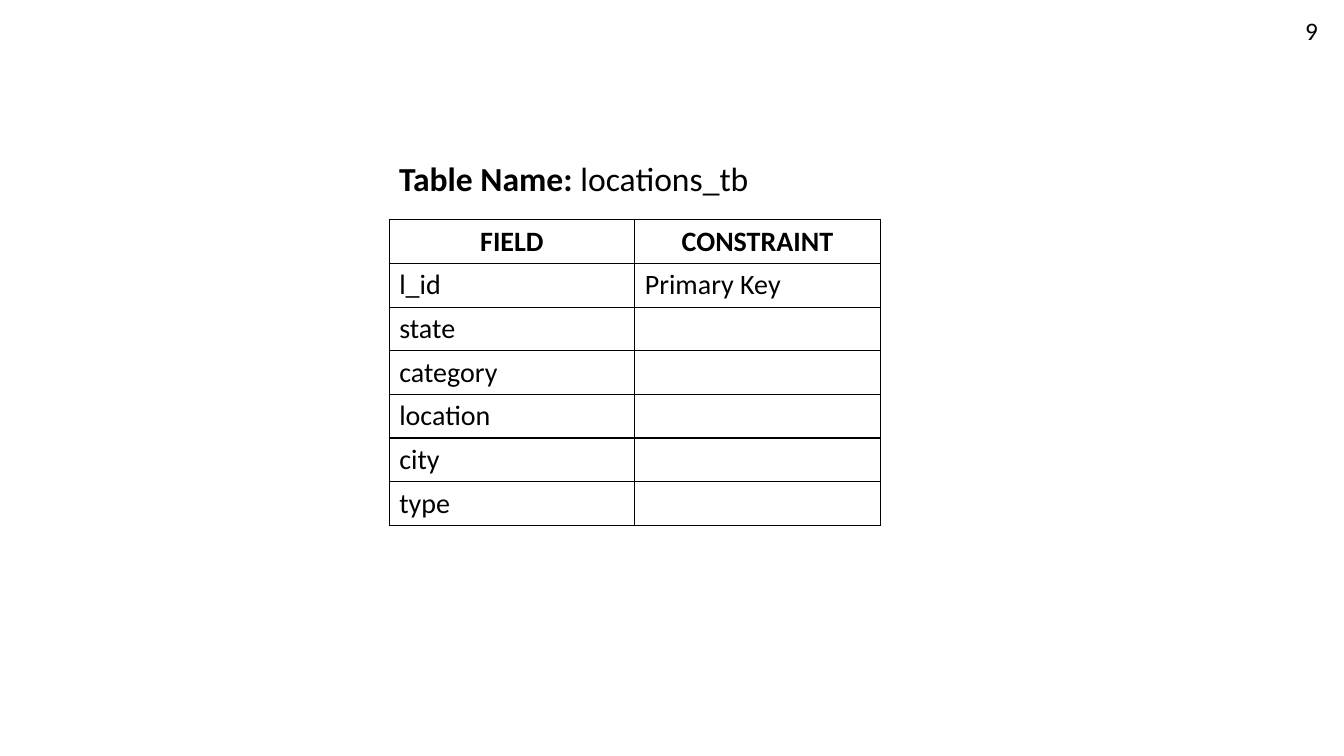
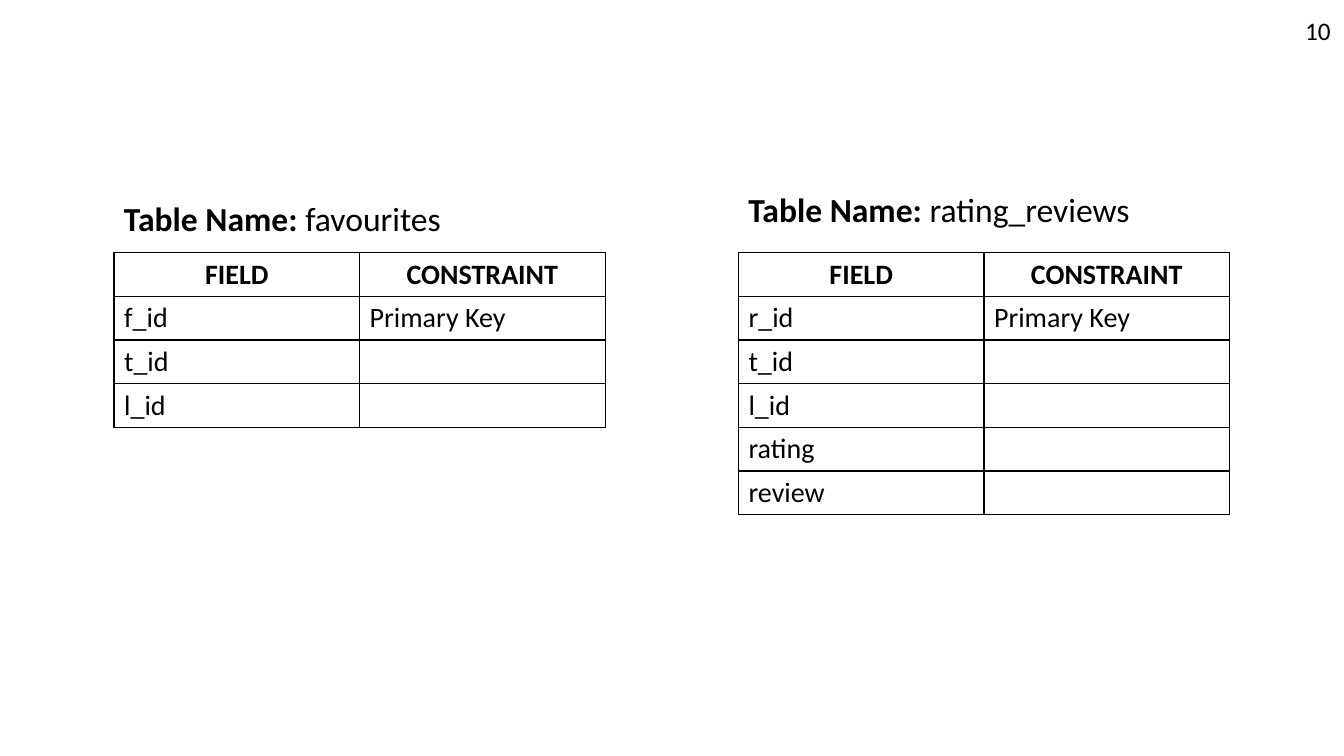
from lxml.etree import SubElement
from pptx import Presentation
from pptx.dml.color import RGBColor
from pptx.enum.text import MSO_ANCHOR, MSO_AUTO_SIZE, PP_ALIGN
from pptx.oxml.ns import qn
from pptx.util import Pt


def color(value):
    """Turn a hex string into a colour."""
    return RGBColor.from_string(value)


class SchemaDeck:
    """Hold the style of the deck and the current slide."""

    FONT = "Calibri"
    INK = "000000"
    CAPTION_SIZE = 24
    CELL_SIZE = 20
    NUMBER_SIZE = 18
    COLUMN_WIDTH = 175.4
    ROW_HEIGHT = 31.2
    CELL_MARGIN = 3.4
    HEADER = ("FIELD", "CONSTRAINT")

    def __init__(self):
        """Start an empty widescreen deck."""
        self.deck = Presentation()
        self.deck.slide_width = Pt(960)
        self.deck.slide_height = Pt(540)
        self.slide = None

    def add_slide(self, number):
        """Add a blank slide with its number at the top right."""
        self.slide = self.deck.slides.add_slide(self.deck.slide_layouts[6])
        text = str(number)
        width = 14.4 + 9.2 * len(text)
        self.add_text(925.2, 7.2, width, 29, [(text, False)], self.NUMBER_SIZE, wrap=False)

    def format_span(self, span, size, bold):
        """Give a run the style of the deck."""
        span.font.name = self.FONT
        span.font.size = Pt(size)
        span.font.bold = bold
        span.font.color.rgb = color(self.INK)

    def add_text(self, left, top, width, height, parts, size, wrap=True):
        """Add a one-line text box made of (text, bold) parts."""
        box = self.slide.shapes.add_textbox(Pt(left), Pt(top), Pt(width), Pt(height))
        frame = box.text_frame
        frame.word_wrap = wrap
        frame.auto_size = MSO_AUTO_SIZE.SHAPE_TO_FIT_TEXT
        for text, bold in parts:
            span = frame.paragraphs[0].add_run()
            span.text = text
            self.format_span(span, size, bold)

    def add_borders(self, cell):
        """Draw a thin line on every side of a cell."""
        properties = cell._tc.get_or_add_tcPr()
        for position, side in enumerate(("a:lnL", "a:lnR", "a:lnT", "a:lnB")):
            line = SubElement(properties, qn(side), w=str(Pt(1)))
            fill = SubElement(line, qn("a:solidFill"))
            SubElement(fill, qn("a:srgbClr"), val=self.INK)
            properties.insert(position, line)

    def fill_cell(self, cell, text, is_header):
        """Write and format one table cell."""
        cell.margin_top = cell.margin_bottom = Pt(self.CELL_MARGIN)
        cell.vertical_anchor = MSO_ANCHOR.MIDDLE
        cell.fill.background()
        self.add_borders(cell)
        para = cell.text_frame.paragraphs[0]
        para.font.size = Pt(self.CELL_SIZE)
        if is_header:
            para.alignment = PP_ALIGN.CENTER
        if text:
            para.text = text
            self.format_span(para.runs[0], self.CELL_SIZE, is_header)

    def add_schema(self, name, fields, left, caption_top, table_top):
        """Add a caption and a table whose first field is the key."""
        self.add_text(left, caption_top, 318, 36,
                      [("Table Name: ", True), (name, False)], self.CAPTION_SIZE)
        rows = [self.HEADER, (fields[0], "Primary Key")]
        rows += [(field, "") for field in fields[1:]]
        table = self.slide.shapes.add_table(
            len(rows), len(self.HEADER), Pt(left), Pt(table_top),
            Pt(self.COLUMN_WIDTH * len(self.HEADER)), Pt(self.ROW_HEIGHT * len(rows))).table
        table.first_row = True
        table.horz_banding = False
        for column in table.columns:
            column.width = Pt(self.COLUMN_WIDTH)
        for row_index, texts in enumerate(rows):
            table.rows[row_index].height = Pt(self.ROW_HEIGHT)
            for column_index, text in enumerate(texts):
                self.fill_cell(table.cell(row_index, column_index), text, row_index == 0)


def main():
    """Build the two schema slides."""
    schema = SchemaDeck()

    schema.add_slide(9)
    schema.add_schema("locations_tb", ("l_id", "state", "category", "location", "city", "type"),
                      left=278, caption_top=109.5, table_top=157)

    schema.add_slide(10)
    schema.add_schema("favourites", ("f_id", "t_id", "l_id"),
                      left=81.5, caption_top=138.2, table_top=180.5)
    schema.add_schema("rating_reviews", ("r_id", "t_id", "l_id", "rating", "review"),
                      left=527.5, caption_top=131.5, table_top=180.5)

    schema.deck.save("out.pptx")


if __name__ == "__main__":
    main()
